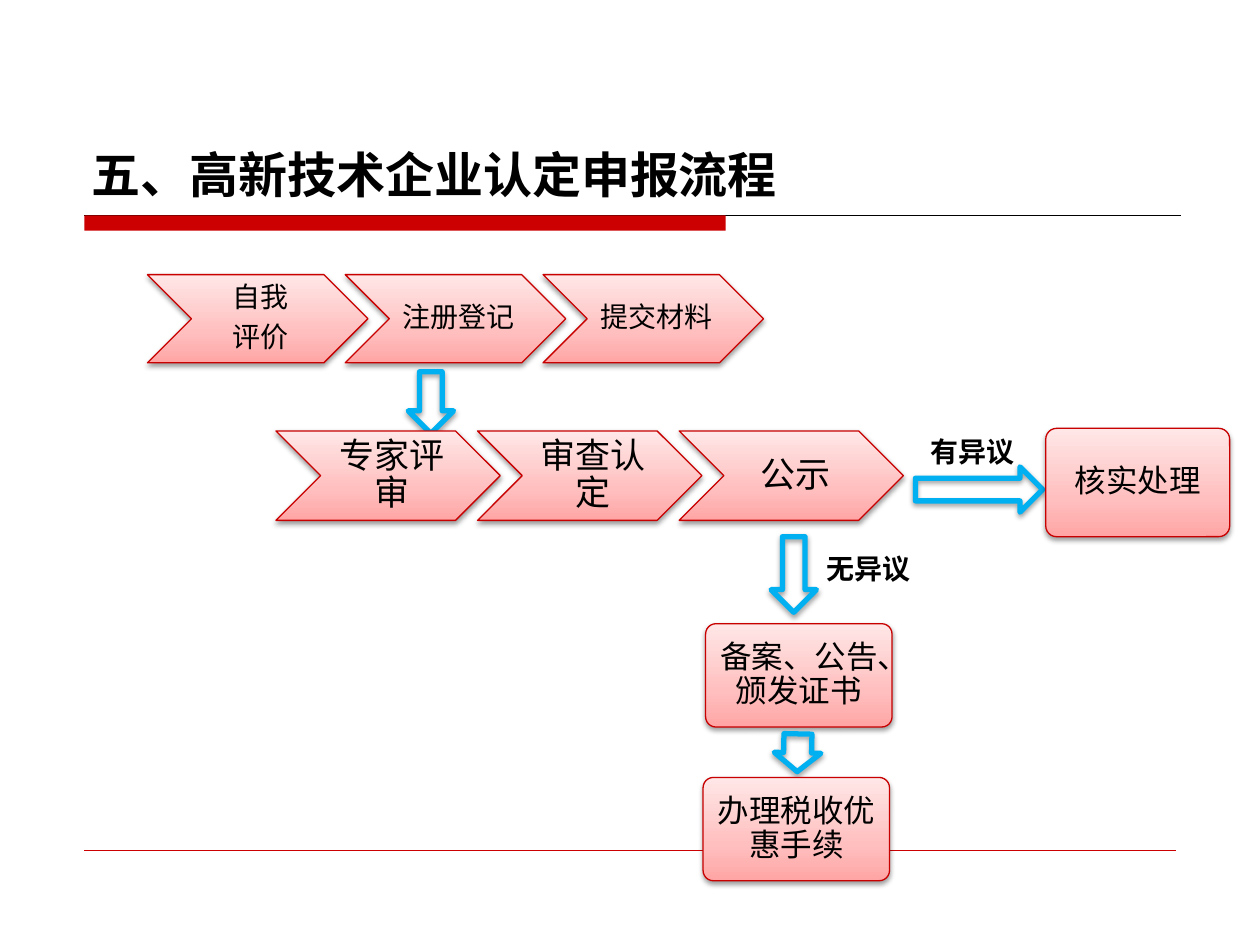
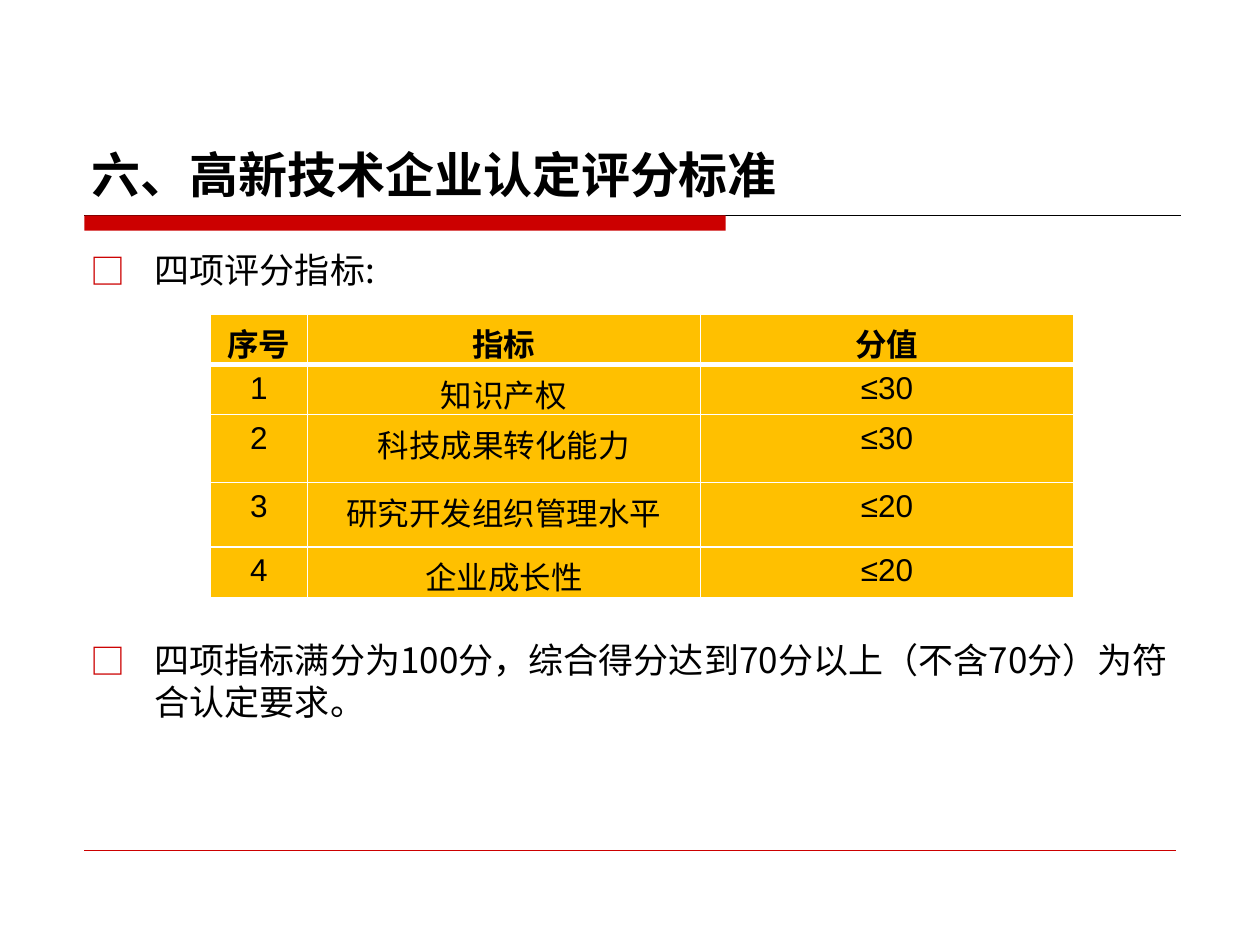
"""Builds two slides on certifying high-tech enterprises: process and scoring."""
from copy import deepcopy
from dataclasses import dataclass

from lxml import etree
from pptx import Presentation, util as u
from pptx.dml.color import RGBColor
from pptx.enum import shapes, text
from pptx.oxml.ns import qn

SHAPE = shapes.MSO_SHAPE
ALIGN = text.PP_ALIGN
ANCHOR = text.MSO_ANCHOR


@dataclass(frozen=True)
class Theme:
    ink: str = "000000"
    red: str = "CC0000"
    edge: str = "C80000"
    blue: str = "00B0F0"
    amber: str = "FFC000"
    white: str = "FFFFFF"
    blush: tuple = ((0, "FFA5A5"), (0.35, "FFBFBF"), (1, "FFE7E7"))
    plain: str = "DejaVu Sans"
    chinese: str = "Noto Sans CJK SC"
    latin: str = "Arial"
    title: int = 28
    body: int = 20
    block: int = 18
    label: int = 16


def child(parent, tag, **attributes):
    return etree.SubElement(parent, qn(tag), {k: str(v) for k, v in attributes.items()})


def colour(value):
    return RGBColor.from_string(value)


class Painter:
    def __init__(self, deck, theme):
        self.deck, self.theme, self.page = deck, theme, None

    def new_page(self, title):
        theme = self.theme
        self.page = self.deck.slides.add_slide(self.deck.slide_layouts[6])
        self.line(0.67, 1.71, 9.37, theme.ink, 0.75)
        bar = self.shape(SHAPE.RECTANGLE, (0.67, 1.71, 5.09, 0.12))
        bar.fill.solid()
        bar.fill.fore_color.rgb = colour(theme.red)
        bar.line.fill.background()
        self.line(0.67, 6.75, 9.33, theme.red, 0.25)
        frame = self.text_box((0.63, 0.33, 8.75, 1.33), ANCHOR.BOTTOM)
        self.span(frame.paragraphs[0], title, theme.title, theme.plain, bold=True)

    def line(self, left, top, right, ink, width):
        rule = self.page.shapes.add_connector(
            shapes.MSO_CONNECTOR.STRAIGHT, *map(u.Inches, (left, top, right, top)))
        rule.line.color.rgb = colour(ink)
        rule.line.width = u.Pt(width)
        child(rule._element.spPr, "a:effectLst")

    def shape(self, kind, area, adjust=()):
        shape = self.page.shapes.add_shape(kind, *map(u.Inches, area))
        shape.shadow.inherit = False
        for index, value in enumerate(adjust):
            shape.adjustments[index] = value
        return shape

    def soft_shadow(self, shape):
        effects = shape._element.spPr.find(qn("a:effectLst"))
        shadow = child(effects, "a:outerShdw", blurRad=u.Pt(3.1), dist=u.Pt(1.6),
                       dir=5400000, rotWithShape=0)
        child(child(shadow, "a:srgbClr", val=self.theme.ink), "a:alpha", val=38000)

    def span(self, para, words, size, font, east=None, bold=False):
        span = para.add_run()
        span.text = words
        span.font.size = u.Pt(size)
        span.font.bold = bold
        span.font.name = font
        span.font.color.rgb = colour(self.theme.ink)
        child(span._r.get_or_add_rPr(), "a:ea", typeface=east or font)

    def text_box(self, area, anchor=ANCHOR.TOP, wrap=True):
        frame = self.page.shapes.add_textbox(*map(u.Inches, area)).text_frame
        frame.word_wrap = wrap
        frame.vertical_anchor = anchor
        return frame

    def label(self, words, area, wrap=True):
        frame = self.text_box(area, wrap=wrap)
        frame.auto_size = text.MSO_AUTO_SIZE.SHAPE_TO_FIT_TEXT
        para = frame.paragraphs[0]
        para.alignment = ALIGN.CENTER
        self.span(para, words, self.theme.label, self.theme.chinese, bold=True)

    def step(self, kind, lines, area, size, insets, adjust=()):
        theme = self.theme
        step = self.shape(kind, area, adjust)
        step.fill.gradient()
        step.fill.gradient_angle = 90
        stops = step._element.spPr.find(".//" + qn("a:gsLst"))
        stops.append(deepcopy(stops[-1]))
        for stop, (position, tint) in zip(step.fill.gradient_stops, theme.blush):
            stop.position = position
            stop.color.rgb = colour(tint)
        step.line.color.rgb = colour(theme.edge)
        step.line.width = u.Pt(0.75)
        self.soft_shadow(step)
        frame = step.text_frame
        frame.word_wrap = True
        frame.vertical_anchor = ANCHOR.MIDDLE
        frame.margin_left = u.Inches(insets[0])
        frame.margin_top = frame.margin_right = frame.margin_bottom = u.Inches(insets[1])
        for index, words in enumerate(lines):
            para = frame.add_paragraph() if index else frame.paragraphs[0]
            para.alignment = ALIGN.CENTER
            para.line_spacing = 0.9
            para.space_after = u.Pt(0.35 * size)
            self.span(para, words, size, theme.plain)

    def chevrons(self, steps, left, top, width, height, pitch, size, insets):
        for index, lines in enumerate(steps):
            area = (left + index * pitch, top, width, height)
            self.step(SHAPE.CHEVRON, lines, area, size, insets)

    def block(self, words, area):
        self.step(SHAPE.ROUNDED_RECTANGLE, [words], area, self.theme.block,
                  (0.07, 0.07), (0.1,))

    def arrow(self, kind, area, turn=0, adjust=()):
        arrow = self.shape(kind, area, adjust)
        arrow.rotation = turn
        arrow.fill.background()
        arrow.line.color.rgb = colour(self.theme.blue)
        arrow.line.width = u.Pt(3)
        self.soft_shadow(arrow)

    def bullets(self, area, items):
        frame = self.text_box(area)
        for index, (words, gap) in enumerate(items):
            para = frame.add_paragraph() if index else frame.paragraphs[0]
            para.line_spacing = u.Pt(24)
            para.space_before = u.Pt(gap)
            layout = para._p.get_or_add_pPr()
            layout.set("marL", str(u.Inches(0.51)))
            layout.set("indent", str(-u.Inches(0.51)))
            child(child(layout, "a:buClr"), "a:srgbClr", val=self.theme.red)
            child(layout, "a:buFont", typeface=self.theme.chinese)
            child(layout, "a:buChar", char="□")
            self.span(para, words, self.theme.body, self.theme.chinese)

    def cell(self, cell, words, heading, below_heading):
        theme = self.theme
        borders = cell._tc.get_or_add_tcPr()
        thick = {"B": heading, "T": below_heading}
        for side in "LRTB":
            edge = child(borders, "a:ln" + side, w=u.Pt(3 if thick.get(side) else 1))
            child(child(edge, "a:solidFill"), "a:srgbClr", val=theme.white)
        cell.fill.solid()
        cell.fill.fore_color.rgb = colour(theme.amber)
        para = cell.text_frame.paragraphs[0]
        para.alignment = ALIGN.CENTER
        self.span(para, words, theme.block, theme.latin, theme.chinese, heading)

    def table(self, rows, left, top, widths, heights):
        table = self.page.shapes.add_table(
            len(rows), len(widths), *map(u.Inches, (left, top, sum(widths), sum(heights)))).table
        for column, width in zip(table.columns, widths):
            column.width = u.Inches(width)
        for index, (row, height, values) in enumerate(zip(table.rows, heights, rows)):
            row.height = u.Inches(height)
            for cell, words in zip(row.cells, values):
                self.cell(cell, words, index == 0, index == 1)


def process_page(painter):
    painter.new_page("五、高新技术企业认定申报流程")
    painter.chevrons([["自我", "评价"], ["注册登记"], ["提交材料"]],
                     1.17, 2.18, 1.75, 0.7, 1.57, painter.theme.label, (0.07, 0.02))
    painter.arrow(SHAPE.DOWN_ARROW, (3.24, 2.95, 0.36, 0.49))
    painter.chevrons([["专家评审"], ["审查认定"], ["公示"]],
                     2.19, 3.42, 1.78, 0.71, 1.6, painter.theme.body, (0.09, 0.03))
    painter.block("备案、公告、颁发证书", (5.6, 4.95, 1.48, 0.82))
    painter.arrow(SHAPE.RIGHT_ARROW, (6.18, 5.79, 0.3, 0.37), 91.2, (0.6, 0.5))
    painter.block("办理税收优惠手续", (5.58, 6.17, 1.48, 0.82))
    painter.arrow(SHAPE.DOWN_ARROW, (6.12, 4.26, 0.36, 0.6))
    painter.label("无异议", (6.27, 4.33, 1.24, 0.37))
    painter.arrow(SHAPE.DOWN_ARROW, (7.59, 3.38, 0.36, 1.01), 270)
    painter.label("有异议", (7.28, 3.4, 0.88, 0.37), wrap=False)
    painter.block("核实处理", (8.3, 3.4, 1.46, 0.86))


def scoring_page(painter):
    painter.new_page("六、高新技术企业认定评分标准")
    painter.bullets((0.62, 1.92, 8.75, 4.67), [
        ("四项评分指标:", 2),
        ("四项指标满分为100分，综合得分达到70分以上（不含70分）为符合认定要求。", 199),
    ])
    scores = [("知识产权", 30), ("科技成果转化能力", 30),
              ("研究开发组织管理水平", 20), ("企业成长性", 20)]
    rows = [("序号", "指标", "分值")]
    rows += [(str(n), name, f"≤{score}") for n, (name, score) in enumerate(scores, 1)]
    painter.table(rows, 1.67, 2.49, (0.77, 3.12, 2.96), (0.4, 0.4, 0.54, 0.51, 0.4))


def main():
    deck = Presentation()
    deck.slide_width, deck.slide_height = u.Inches(10), u.Inches(7.5)
    painter = Painter(deck, Theme())
    process_page(painter)
    scoring_page(painter)
    deck.save("out.pptx")


main()
